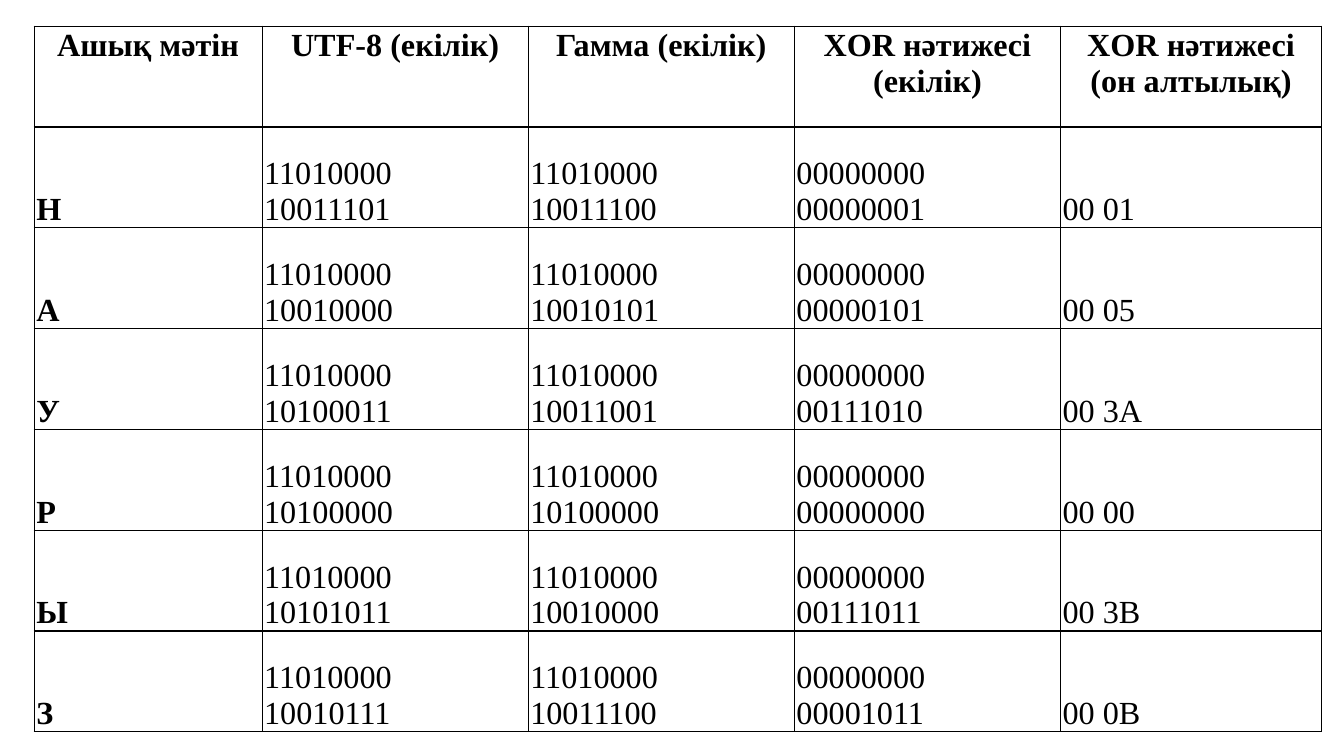
"""Build a slide with a table of letters encrypted by XOR with a gamma."""
import lxml.etree
import pptx
import pptx.dml.color
import pptx.enum.text
import pptx.oxml.ns
import pptx.util
from pptx.util import Inches

HEADINGS = [
    "Ашық мәтін",
    "UTF-8 (екілік)",
    "Гамма (екілік)",
    "XOR нәтижесі (екілік)",
    "XOR нәтижесі (он алтылық)",
]
LETTERS = [
    ("Н", "11010000 10011101", "11010000 10011100", "00000000 00000001", "00 01"),
    ("А", "11010000 10010000", "11010000 10010101", "00000000 00000101", "00 05"),
    ("У", "11010000 10100011", "11010000 10011001", "00000000 00111010", "00 3A"),
    ("Р", "11010000 10100000", "11010000 10100000", "00000000 00000000", "00 00"),
    ("Ы", "11010000 10101011", "11010000 10010000", "00000000 00111011", "00 3B"),
    ("З", "11010000 10010111", "11010000 10011100", "00000000 00001011", "00 0B"),
]
COLORS = {"text": "000000", "border": "000000", "cell": "FFFFFF"}
FONT = "Times New Roman"
COLUMN_WIDTHS = [2.26, 2.64, 2.64, 2.64, 2.59]
ROW_HEIGHT = 1
LEFT, TOP = 0.34, 0.26
INSET = 0.02


def write_text(cell, text, bold=False, align="LEFT", anchor="BOTTOM", size=23):
    """Write formatted text into a cell."""
    cell.margin_left = cell.margin_right = cell.margin_top = Inches(INSET)
    cell.margin_bottom = 0
    cell.vertical_anchor = getattr(pptx.enum.text.MSO_ANCHOR, anchor)
    paragraph = cell.text_frame.paragraphs[0]
    paragraph.alignment = getattr(pptx.enum.text.PP_ALIGN, align)
    run = paragraph.add_run()
    run.text = text
    run.font.name = FONT
    run.font.size = pptx.util.Pt(size)
    run.font.bold = bold
    run.font.color.rgb = pptx.dml.color.RGBColor.from_string(COLORS["text"])


def draw_borders(cell, width=1):
    """Put a solid line on all four sides of a cell."""
    qn = pptx.oxml.ns.qn
    properties = cell._tc.get_or_add_tcPr()
    for position, side in enumerate(("lnL", "lnR", "lnT", "lnB")):
        line = lxml.etree.Element(qn(f"a:{side}"), w=str(pptx.util.Pt(width)))
        fill = lxml.etree.SubElement(line, qn("a:solidFill"))
        lxml.etree.SubElement(fill, qn("a:srgbClr"), val=COLORS["border"])
        properties.insert(position, line)


def main():
    """Create the presentation and save it."""
    presentation = pptx.Presentation()
    presentation.slide_width = Inches(13.33)
    presentation.slide_height = Inches(7.5)
    slide = presentation.slides.add_slide(presentation.slide_layouts[6])

    rows = [HEADINGS, *LETTERS]
    cipher_table = slide.shapes.add_table(
        len(rows), len(HEADINGS), Inches(LEFT), Inches(TOP),
        Inches(sum(COLUMN_WIDTHS)), Inches(ROW_HEIGHT * len(rows)),
    ).table
    for column, width in zip(cipher_table.columns, COLUMN_WIDTHS):
        column.width = Inches(width)

    for row_index, row in enumerate(rows):
        cipher_table.rows[row_index].height = Inches(ROW_HEIGHT)
        for column_index, text in enumerate(row):
            cell = cipher_table.cell(row_index, column_index)
            if row_index == 0:
                write_text(cell, text, bold=True, align="CENTER", anchor="TOP")
            else:
                write_text(cell, text, bold=column_index == 0)
            cell.fill.solid()
            cell.fill.fore_color.rgb = pptx.dml.color.RGBColor.from_string(COLORS["cell"])
            draw_borders(cell)

    presentation.save("out.pptx")


if __name__ == "__main__":
    main()
